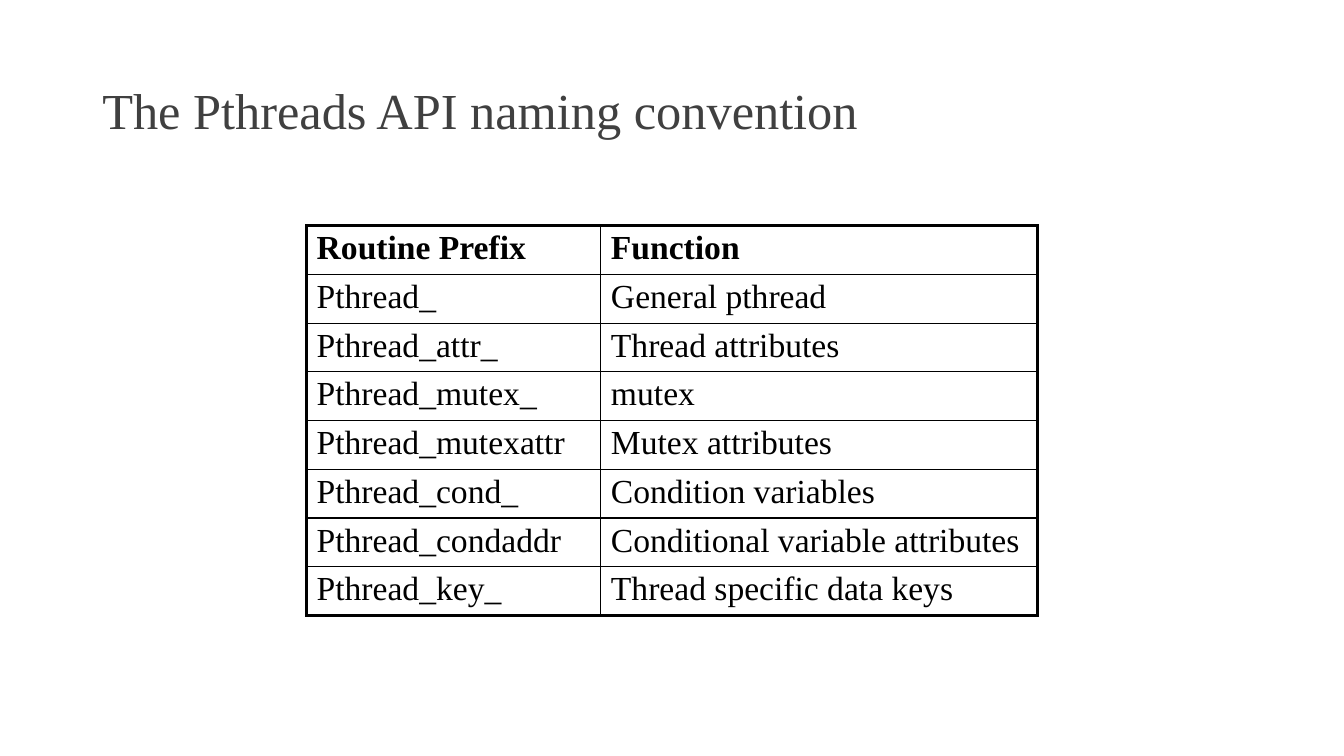
"""Build the slide on the Pthreads API naming convention."""
from lxml import etree
from pptx import Presentation
from pptx.dml.color import RGBColor
from pptx.enum import text
from pptx.oxml import ns
from pptx.util import Pt

FONT = "Times New Roman"
TITLE_GREY = RGBColor(0x40, 0x40, 0x40)
BLACK = RGBColor(0, 0, 0)
THIN, THICK = 1, 2.25
COLUMN_WIDTHS = (210.24, 311.76)
ROW_HEIGHT = 33.75
ROUTINES = [
    ("Routine Prefix", "Function"),
    ("Pthread_", "General pthread"),
    ("Pthread_attr_", "Thread attributes"),
    ("Pthread_mutex_", "mutex"),
    ("Pthread_mutexattr", "Mutex attributes"),
    ("Pthread_cond_", "Condition variables"),
    ("Pthread_condaddr", "Conditional variable attributes"),
    ("Pthread_key_", "Thread specific data keys"),
]


def write(frame, words, size, color, bold=False, line_spacing=1.0):
    frame.word_wrap = True
    para = frame.paragraphs[0]
    para.line_spacing = line_spacing
    span = para.add_run()
    span.text = words
    span.font.name = FONT
    span.font.size = Pt(size)
    span.font.bold = bold
    span.font.color.rgb = color


def set_borders(cell, **widths):
    properties = cell._tc.get_or_add_tcPr()
    for side, width in widths.items():
        line = etree.SubElement(properties, ns.qn(f"a:ln{side}"), w=str(Pt(width)))
        fill = etree.SubElement(line, ns.qn("a:solidFill"))
        etree.SubElement(fill, ns.qn("a:srgbClr"), val=str(BLACK))


def add_title(page, left, top, width, height):
    box = page.shapes.add_textbox(Pt(left), Pt(top), Pt(width), Pt(height))
    box.text_frame.vertical_anchor = text.MSO_ANCHOR.MIDDLE
    write(box.text_frame, "The Pthreads API naming convention", 36, TITLE_GREY,
          line_spacing=0.9)


def add_routine_table(page, left, top):
    last_row, last_column = len(ROUTINES) - 1, len(COLUMN_WIDTHS) - 1
    table = page.shapes.add_table(
        len(ROUTINES), len(COLUMN_WIDTHS), Pt(left), Pt(top),
        Pt(sum(COLUMN_WIDTHS)), Pt(ROW_HEIGHT * len(ROUTINES))).table
    table.horz_banding = False
    for column, width in zip(table.columns, COLUMN_WIDTHS):
        column.width = Pt(width)
    for i, entries in enumerate(ROUTINES):
        table.rows[i].height = Pt(ROW_HEIGHT)
        for j, words in enumerate(entries):
            cell = table.cell(i, j)
            cell.margin_top = cell.margin_bottom = Pt(3)
            write(cell.text_frame, words, 24, BLACK, bold=i == 0)
            set_borders(cell,
                        L=THICK if j == 0 else THIN,
                        R=THICK if j == last_column else THIN,
                        T=THICK if i == 0 else THIN,
                        B=THICK if i == last_row else THIN)
            cell.fill.background()


def main():
    deck = Presentation()
    deck.slide_width, deck.slide_height = Pt(960), Pt(540)
    page = deck.slides.add_slide(deck.slide_layouts[6])
    add_title(page, 66, 28.8, 828, 104.4)
    add_routine_table(page, 219, 161.3)
    deck.save("out.pptx")


if __name__ == "__main__":
    main()
